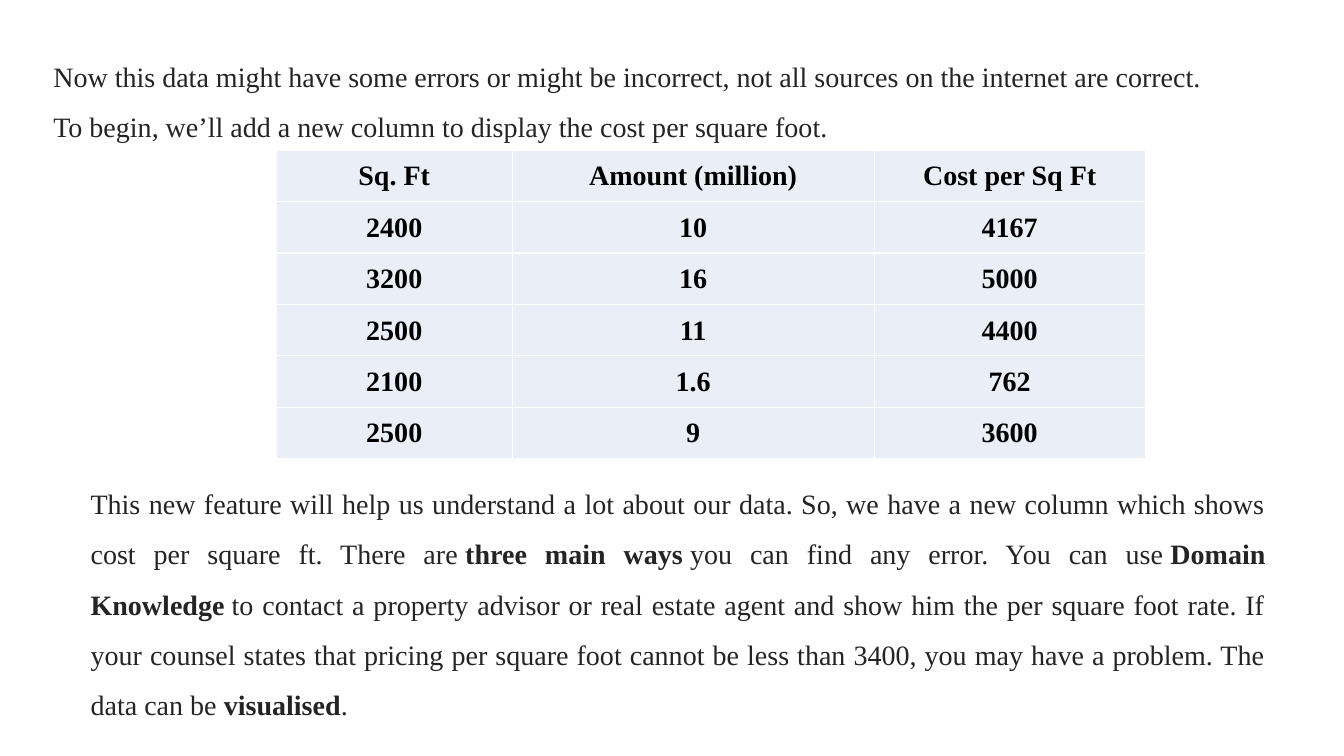
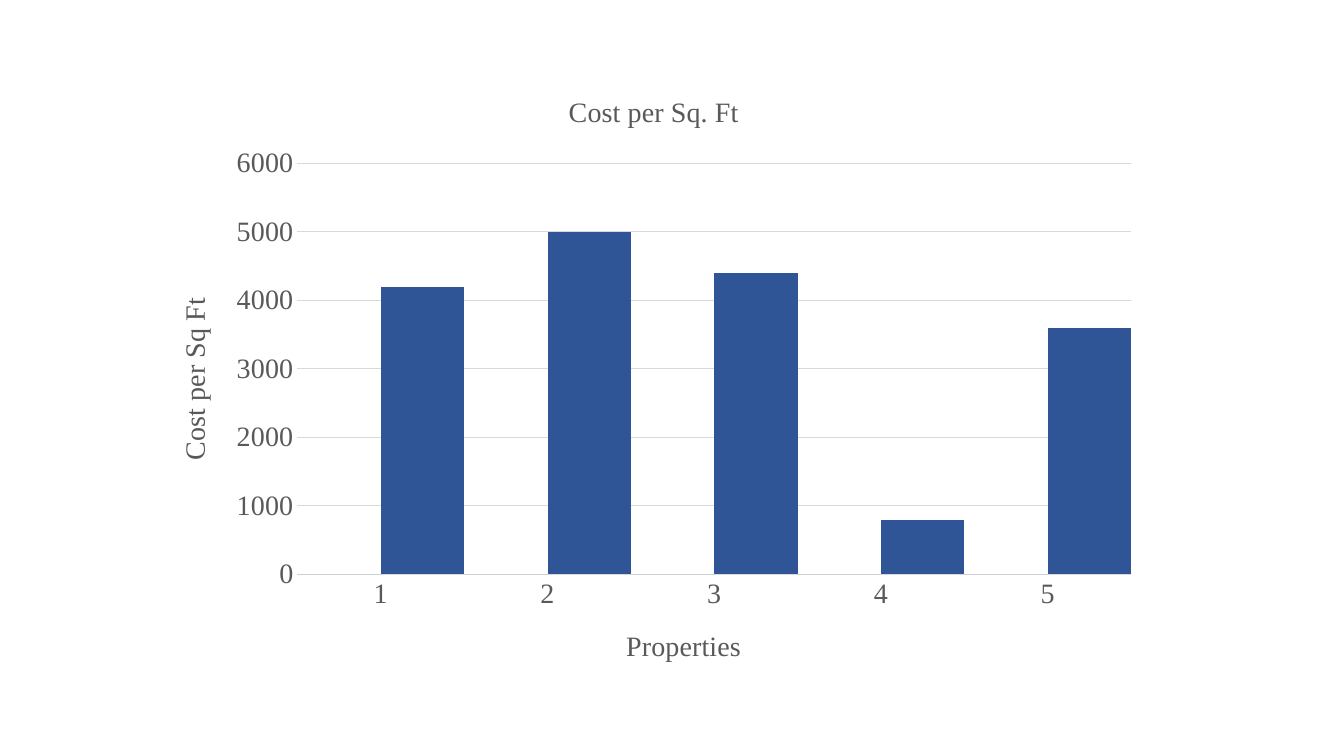
from lxml.etree import SubElement
from pptx import Presentation
from pptx.chart.data import CategoryChartData
from pptx.dml.color import RGBColor
from pptx.enum.chart import XL_CHART_TYPE, XL_TICK_MARK
from pptx.enum.text import MSO_ANCHOR, MSO_AUTO_SIZE, PP_ALIGN
from pptx.oxml import parse_xml
from pptx.oxml.ns import nsdecls, qn
from pptx.util import Inches, Pt

FONT = "Times New Roman"
TEXT_SIZE = 20
NO_BREAK_SPACE = chr(160)
COLORS = {
    "body": "242424",
    "table_text": "000000",
    "cell": "EAEFF7",
    "border": "FFFFFF",
    "chart_text": "595959",
    "grid": "D9D9D9",
    "empty_series": "5B9BD5",
    "cost_series": "2F5597",
}

# A paragraph is a list of (text, bold) pairs.
INTRO = [
    [("Now this data might have some errors or might be incorrect, "
      "not all sources on the internet are correct. ", False)],
    [("To begin, we’ll add a new column to display the cost per square foot.", False)],
]
EXPLANATION = [[
    ("This new feature will help us understand a lot about our data. So, we have a new "
     f"column which shows cost per square ft. There are{NO_BREAK_SPACE}", False),
    ("three main ways", True),
    (f"{NO_BREAK_SPACE}you can find any error. You can use{NO_BREAK_SPACE}", False),
    ("Domain Knowledge", True),
    (f"{NO_BREAK_SPACE}to contact a property advisor or real estate agent and show him the "
     "per square foot rate. If your counsel states that pricing per square foot cannot be "
     f"less than 3400, you may have a problem. The data can be{NO_BREAK_SPACE}", False),
    ("visualised", True),
    (".", False),
]]
HEADINGS = ("Sq. Ft", "Amount (million)", "Cost per Sq Ft")
PROPERTIES = [
    (2400, 10, 4167),
    (3200, 16, 5000),
    (2500, 11, 4400),
    (2100, 1.6, 762),
    (2500, 9, 3600),
]
COLUMN_WIDTHS = (2.34, 3.59, 2.69)
ROW_HEIGHT = 0.51
CHART_WIDTH, CHART_HEIGHT = 9.86, 6.13


def rgb(name):
    return RGBColor.from_string(COLORS[name])


def style_font(font, color, bold=False):
    font.name = FONT
    font.size = Pt(TEXT_SIZE)
    font.bold = bold
    font.color.rgb = rgb(color)


def add_body_text(slide, paragraphs, left, top, width, height):
    box = slide.shapes.add_textbox(Inches(left), Inches(top), Inches(width), Inches(height))
    frame = box.text_frame
    frame.word_wrap = True
    frame.auto_size = MSO_AUTO_SIZE.SHAPE_TO_FIT_TEXT
    for index, spans in enumerate(paragraphs):
        para = frame.add_paragraph() if index else frame.paragraphs[0]
        para.alignment = PP_ALIGN.JUSTIFY
        para.line_spacing = 1.5
        for text, bold in spans:
            span = para.add_run()
            span.text = text
            style_font(span.font, "body", bold)


def add_borders(cell):
    properties = cell._tc.get_or_add_tcPr()
    for side in ("lnL", "lnR", "lnT", "lnB"):
        line = SubElement(properties, qn(f"a:{side}"), w=str(Pt(1)))
        fill = SubElement(line, qn("a:solidFill"))
        SubElement(fill, qn("a:srgbClr"), val=COLORS["border"])


def add_cost_table(slide, left, top):
    rows = [HEADINGS, *PROPERTIES]
    table = slide.shapes.add_table(
        len(rows), len(HEADINGS), Inches(left), Inches(top),
        Inches(sum(COLUMN_WIDTHS)), Inches(ROW_HEIGHT * len(rows))).table
    for column, width in zip(table.columns, COLUMN_WIDTHS):
        column.width = Inches(width)
    for row, values in zip(table.rows, rows):
        row.height = Inches(ROW_HEIGHT)
        for cell, value in zip(row.cells, values):
            cell.text_frame.text = str(value)
            cell.vertical_anchor = MSO_ANCHOR.MIDDLE
            cell.margin_left = cell.margin_right = cell.margin_top = Inches(0.01)
            cell.margin_bottom = 0
            para = cell.text_frame.paragraphs[0]
            para.alignment = PP_ALIGN.CENTER
            style_font(para.runs[0].font, "table_text", bold=True)
            add_borders(cell)
            cell.fill.solid()
            cell.fill.fore_color.rgb = rgb("cell")


def manual_layout(left, top, width=None, height=None):
    """Return a chart layout element from inches inside the chart frame."""
    target = '<c:layoutTarget val="inner"/>' if width else ""
    size = (f'<c:w val="{width / CHART_WIDTH}"/><c:h val="{height / CHART_HEIGHT}"/>'
            if width else "")
    return parse_xml(
        f'<c:layout {nsdecls("c")}><c:manualLayout>{target}'
        '<c:xMode val="edge"/><c:yMode val="edge"/>'
        f'<c:x val="{left / CHART_WIDTH}"/><c:y val="{top / CHART_HEIGHT}"/>{size}'
        '</c:manualLayout></c:layout>')


def replace_layout(element, layout, index):
    for old in element.findall(qn("c:layout")):
        element.remove(old)
    element.insert(index, layout)


def set_title(owner, text, left, top):
    """Title a chart or an axis, placed in inches inside the chart frame."""
    owner.has_title = True
    title = owner.chart_title if hasattr(owner, "chart_title") else owner.axis_title
    title.text_frame.text = text
    style_font(title.text_frame.paragraphs[0].runs[0].font, "chart_text")
    replace_layout(title._element, manual_layout(left, top), 1)


def add_cost_chart(slide, left, top):
    costs = [round(cost, -2) for _, _, cost in PROPERTIES]
    data = CategoryChartData()
    data.categories = [str(number) for number in range(1, len(costs) + 1)]
    data.add_series("Series 1", [0] * len(costs))
    data.add_series("Series 2", costs)
    chart = slide.shapes.add_chart(
        XL_CHART_TYPE.COLUMN_CLUSTERED, Inches(left), Inches(top),
        Inches(CHART_WIDTH), Inches(CHART_HEIGHT), data).chart
    chart.has_legend = False
    style_font(chart.font, "chart_text")

    plot = chart.plots[0]
    plot.gap_width = plot.overlap = 0
    plot.vary_by_categories = False
    for series, color in zip(plot.series, ("empty_series", "cost_series")):
        series.format.fill.solid()
        series.format.fill.fore_color.rgb = rgb(color)

    category_axis, value_axis = chart.category_axis, chart.value_axis
    for axis in (category_axis, value_axis):
        axis.major_tick_mark = axis.minor_tick_mark = XL_TICK_MARK.NONE
        style_font(axis.tick_labels.font, "chart_text")
    value_axis.minimum_scale, value_axis.maximum_scale = 0, 6000
    value_axis.major_unit = 1000
    value_axis.format.line.fill.background()
    for line in (category_axis.format.line, value_axis.major_gridlines.format.line):
        line.color.rgb = rgb("grid")
        line.width = Pt(0.75)

    set_title(chart, "Cost per Sq. Ft", 4.04, 0.19)
    set_title(category_axis, "Properties", 4.61, 5.49)
    set_title(value_axis, "Cost per Sq Ft", 0.15, 2.21)
    plot_area = chart._chartSpace.chart.plotArea
    replace_layout(plot_area, manual_layout(1.4, 0.93, 8.27, 4.08), 0)


def main():
    deck = Presentation()
    deck.slide_width, deck.slide_height = Inches(13.33), Inches(7.5)
    blank = deck.slide_layouts[6]

    table_slide = deck.slides.add_slide(blank)
    add_body_text(table_slide, INTRO, 0.43, 0.37, 12.42, 1.05)
    add_body_text(table_slide, EXPLANATION, 0.8, 4.61, 11.85, 2.56)
    add_cost_table(table_slide, 2.74, 1.49)

    chart_slide = deck.slides.add_slide(blank)
    add_cost_chart(chart_slide, 1.55, 0.69)

    deck.save("out.pptx")


if __name__ == "__main__":
    main()
